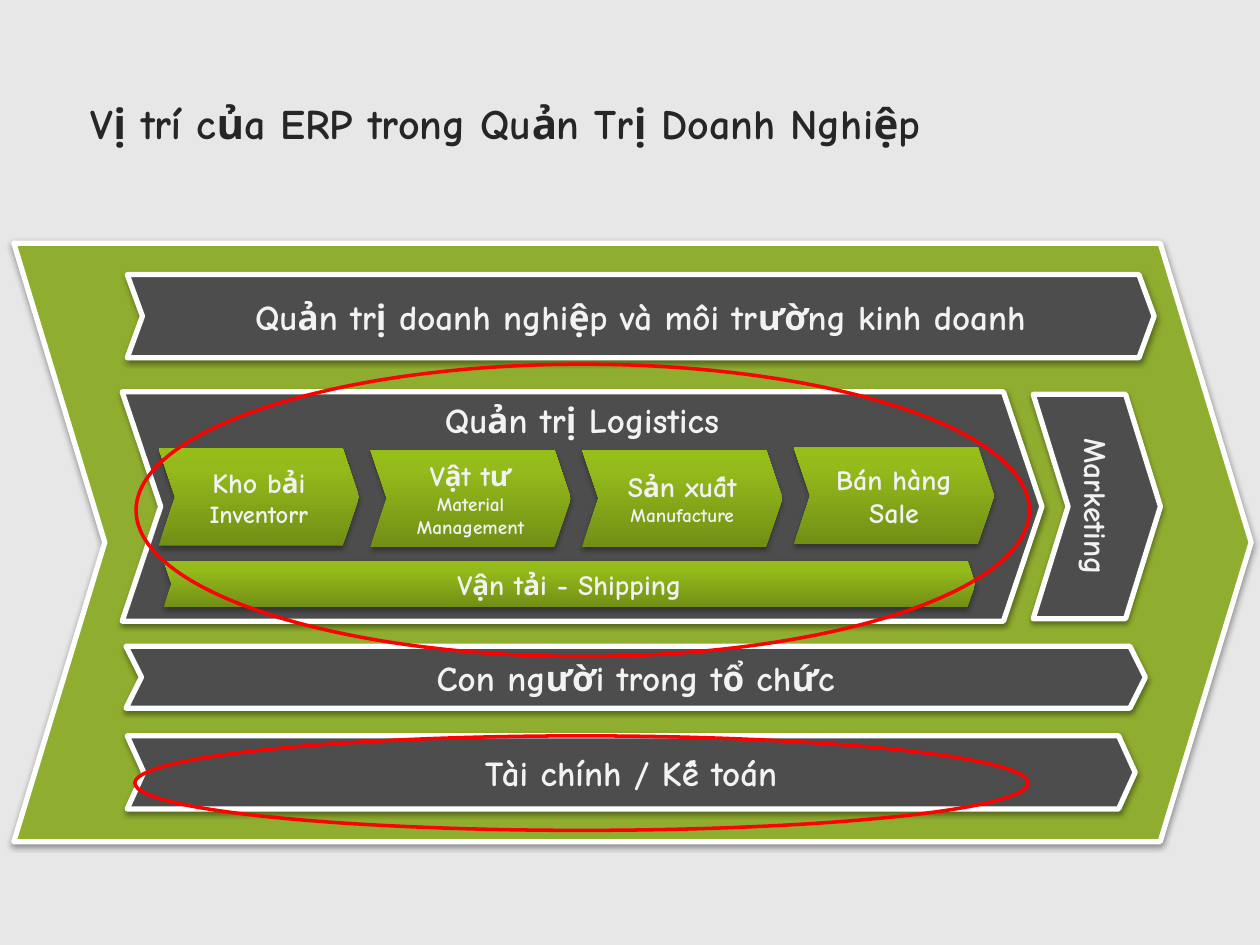
import copy
from dataclasses import dataclass

import pptx
import pptx.dml.color
import pptx.enum.shapes
import pptx.enum.text
import pptx.oxml
import pptx.oxml.ns
import pptx.util
from lxml import etree

Inches = pptx.util.Inches
Pt = pptx.util.Pt
Shapes = pptx.enum.shapes.MSO_SHAPE
Align = pptx.enum.text.PP_ALIGN
Anchor = pptx.enum.text.MSO_ANCHOR
qn = pptx.oxml.ns.qn


@dataclass(frozen=True)
class Theme:
    font: str = "Comic Neue"
    background: str = "E7E7E7"
    title: str = "262626"
    text: str = "F2F2F2"
    frame: str = "8FAD2F"
    band: str = "4D4D4D"
    outline: str = "FFFFFF"
    highlight: str = "FF0000"
    gradient: tuple = ((0, "728F15"), (0.8, "94BA1B"), (1, "96BE18"))
    title_size: int = 24
    band_size: int = 20
    side_size: int = 18
    step_size: int = 16
    detail_size: int = 14
    small_size: int = 11


def rgb(value):
    return pptx.dml.color.RGBColor.from_string(value)


def write(paragraph, text, *, font, size, color, align=Align.CENTER):
    paragraph.alignment = align
    run = paragraph.add_run()
    run.text = text
    run.font.name = font
    run.font.size = Pt(size)
    run.font.bold = True
    run.font.color.rgb = rgb(color)


class SlideBuilder:
    def __init__(self, slide, theme):
        self.slide = slide
        self.theme = theme
        slide.background.fill.solid()
        slide.background.fill.fore_color.rgb = rgb(theme.background)

    def title(self, text, box):
        heading = self.slide.shapes.title
        heading.left, heading.top, heading.width, heading.height = map(Inches, box)
        heading.text_frame.vertical_anchor = Anchor.MIDDLE
        write(heading.text_frame.paragraphs[0], text, font=self.theme.font,
              size=self.theme.title_size, color=self.theme.title, align=Align.LEFT)

    def shape(self, kind, box):
        shape = self.slide.shapes.add_shape(kind, *map(Inches, box))
        shape.shadow.inherit = False
        return shape

    def chevron(self, box, point, lines, anchor):
        chevron = self.shape(Shapes.CHEVRON, box)
        chevron.adjustments[0] = point
        frame = chevron.text_frame
        frame.word_wrap = True
        frame.vertical_anchor = anchor
        for index, (text, size) in enumerate(lines):
            paragraph = frame.add_paragraph() if index else frame.paragraphs[0]
            write(paragraph, text, font=self.theme.font, size=size, color=self.theme.text)
        return chevron

    def band(self, box, point, lines=(), color=None, anchor=Anchor.MIDDLE, vertical=False):
        band = self.chevron(box, point, lines, anchor)
        band.fill.solid()
        band.fill.fore_color.rgb = rgb(color or self.theme.band)
        band.line.color.rgb = rgb(self.theme.outline)
        band.line.width = Pt(3)
        self.drop_shadow(band, opacity=38, distance=1.6)
        if vertical:
            band.text_frame._txBody.find(qn("a:bodyPr")).set("vert", "vert")

    def step(self, box, lines):
        step = self.chevron(box, 0.168, lines, Anchor.MIDDLE)
        step.fill.gradient()
        step.fill.gradient_angle = 90
        stop_list = next(step.element.iter(qn("a:gsLst")))
        stop_list.append(copy.deepcopy(stop_list[-1]))
        for stop, (position, color) in zip(step.fill.gradient_stops, self.theme.gradient):
            stop.position = position
            stop.color.rgb = rgb(color)
        step.line.fill.background()
        self.drop_shadow(step, opacity=35, distance=1.8)

    def drop_shadow(self, shape, opacity, distance):
        effects = next(shape.element.iter(qn("a:effectLst")))
        shadow = etree.SubElement(effects, qn("a:outerShdw"), blurRad=str(Pt(3.1)),
                                  dist=str(Pt(distance)), dir="5400000", rotWithShape="0")
        color = etree.SubElement(shadow, qn("a:srgbClr"), val="000000")
        etree.SubElement(color, qn("a:alpha"), val=str(opacity * 1000))

    def highlight(self, box):
        ring = self.shape(Shapes.OVAL, box)
        ring.fill.background()
        ring.line.color.rgb = rgb(self.theme.highlight)
        ring.line.width = Pt(2)


def main():
    theme = Theme()
    presentation = pptx.Presentation()
    presentation.slide_width = Inches(10)
    presentation.slide_height = Inches(7.5)
    slide = presentation.slides.add_slide(presentation.slide_layouts[5])
    builder = SlideBuilder(slide, theme)

    builder.title("Vị trí của ERP trong Quản Trị Doanh Nghiệp", (0.62, 0.64, 8.58, 0.67))
    builder.band((0.11, 1.93, 9.82, 4.75), 0.152, color=theme.frame)
    builder.band((8.2, 3.13, 1.01, 1.78), 0.274, [("Marketing", theme.side_size)],
                 vertical=True)
    builder.band((0.97, 3.11, 7.3, 1.82), 0.168, [("Quản trị Logistics", theme.band_size)],
                 anchor=Anchor.TOP)

    functions = [
        ("Tài chính / Kế toán", (1.01, 5.84, 8, 0.58), 0.227),
        ("Con người trong tổ chức", (1, 5.13, 8.09, 0.49), 0.25),
        ("Quản trị doanh nghiệp và môi trường kinh doanh", (1.01, 2.18, 8.15, 0.66), 0.183),
    ]
    for name, box, point in functions:
        builder.band(box, point, [(name, theme.band_size)])

    logistics_steps = [
        ("Kho bải", "Inventorr", theme.detail_size, 3.56),
        ("Vật tư", "Material Management", theme.small_size, 3.57),
        ("Sản xuất", "Manufacture", theme.small_size, 3.57),
        ("Bán hàng", "Sale", theme.step_size, 3.55),
    ]
    for column, (name, detail, detail_size, top) in enumerate(logistics_steps):
        builder.step((1.26 + 1.68 * column, top, 1.59, 0.77),
                     [(name, theme.step_size), (detail, detail_size)])
    builder.step((1.3, 4.45, 6.44, 0.37), [("Vận tải - Shipping", theme.step_size)])

    builder.highlight((1.08, 2.89, 7.09, 2.32))
    builder.highlight((1.07, 5.84, 7.09, 0.75))
    presentation.save("out.pptx")


if __name__ == "__main__":
    main()
